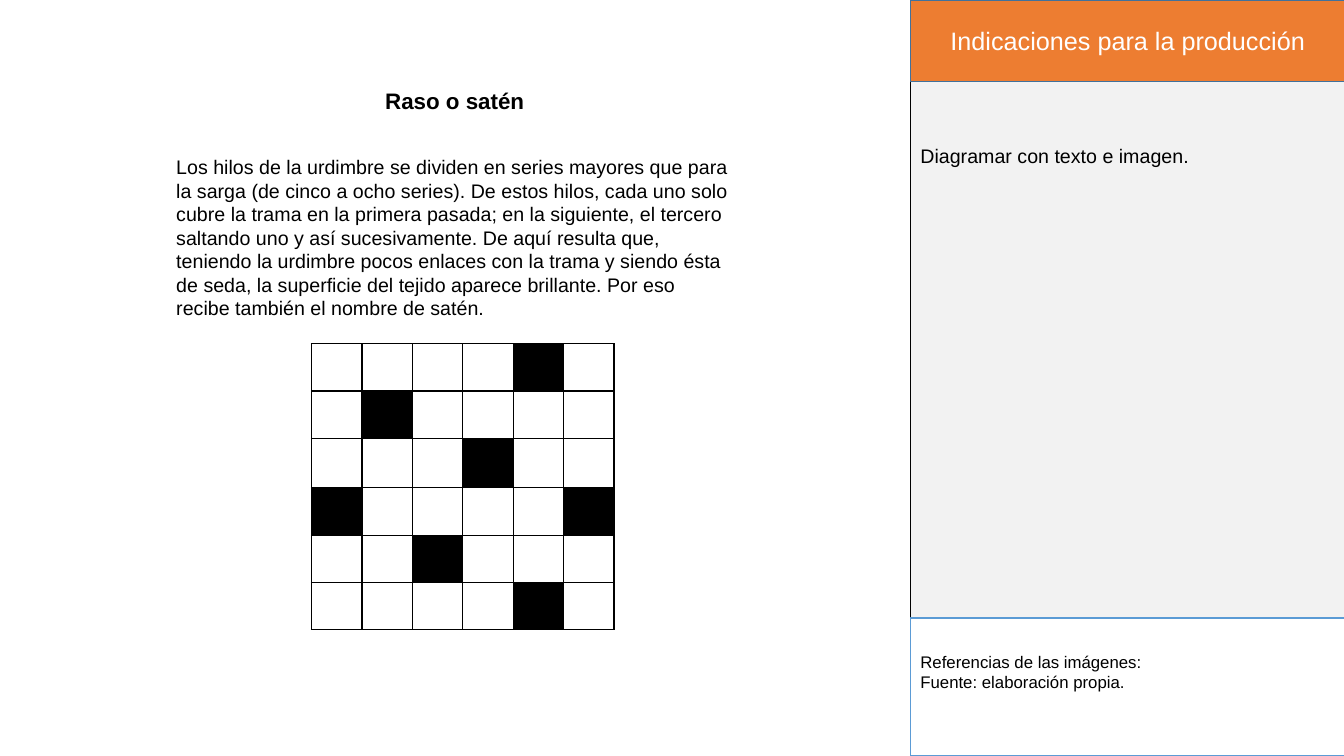
from lxml import etree
from pptx import Presentation
from pptx.dml.color import RGBColor
from pptx.enum import shapes, text
from pptx.oxml import ns
from pptx.util import Inches, Pt

HEADING = "Raso o satén"
EXPLANATION = (
    "Los hilos de la urdimbre se dividen en series mayores que para la sarga "
    "(de cinco a ocho series). De estos hilos, cada uno solo cubre la trama en "
    "la primera pasada; en la siguiente, el tercero saltando uno y así "
    "sucesivamente. De aquí resulta que, teniendo la urdimbre pocos enlaces con "
    "la trama y siendo ésta de seda, la superficie del tejido aparece brillante. "
    "Por eso recibe también el nombre de satén."
)
PANEL_HEADING = "Indicaciones para la producción"
INSTRUCTION = "Diagramar con texto e imagen."
REFERENCES = "Referencias de las imágenes:\nFuente: elaboración propia."
WEAVE = [
    "....#.",
    ".#....",
    "...#..",
    "#....#",
    "..#...",
    "....#.",
]

BLACK = RGBColor(0x00, 0x00, 0x00)
WHITE = RGBColor(0xFF, 0xFF, 0xFF)
GRAY = RGBColor(0xF2, 0xF2, 0xF2)
ORANGE = RGBColor(0xED, 0x7D, 0x31)
DARK_BLUE = RGBColor(0x42, 0x71, 0x9B)
BLUE = RGBColor(0x5B, 0x9B, 0xD5)

FONT = "Arial"
PANEL_LEFT, PANEL_WIDTH = 9.03, 4.31
WEAVE_LEFT, WEAVE_TOP = 3.09, 3.41
THREAD_WIDTH, PASS_HEIGHT, TALL_PASS_HEIGHT = 0.5, 0.47, 0.49
TALL_PASS = 2


def write(shape, content, size, color=BLACK, align=text.PP_ALIGN.LEFT,
          anchor=text.MSO_ANCHOR.TOP, bold=False):
    frame = shape.text_frame
    frame.text = content
    frame.word_wrap = True
    frame.auto_size = text.MSO_AUTO_SIZE.NONE
    frame.vertical_anchor = anchor
    for paragraph in frame.paragraphs:
        paragraph.alignment = align
        for run in paragraph.runs:
            run.font.name = FONT
            run.font.size = Pt(size)
            run.font.bold = bold
            run.font.color.rgb = color


def add_panel(slide, top, height, fill, line):
    panel = slide.shapes.add_shape(
        shapes.MSO_SHAPE.RECTANGLE, Inches(PANEL_LEFT), Inches(top),
        Inches(PANEL_WIDTH), Inches(height))
    panel.shadow.inherit = False
    panel.fill.solid()
    panel.fill.fore_color.rgb = fill
    panel.line.color.rgb = line
    panel.line.width = Pt(1)
    return panel


def add_text(slide, left, top, width, height, content, size):
    box = slide.shapes.add_textbox(
        Inches(left), Inches(top), Inches(width), Inches(height))
    write(box, content, size)


def add_borders(cell, color):
    properties = cell._tc.get_or_add_tcPr()
    for side in ("a:lnL", "a:lnR", "a:lnT", "a:lnB"):
        border = etree.SubElement(properties, ns.qn(side), w=str(Pt(1)))
        fill = etree.SubElement(border, ns.qn("a:solidFill"))
        etree.SubElement(fill, ns.qn("a:srgbClr"), val=str(color))


def add_weave(slide):
    heights = [TALL_PASS_HEIGHT if row == TALL_PASS else PASS_HEIGHT
               for row in range(len(WEAVE))]
    threads = len(WEAVE[0])
    weave = slide.shapes.add_table(
        len(WEAVE), threads, Inches(WEAVE_LEFT), Inches(WEAVE_TOP),
        Inches(threads * THREAD_WIDTH), Inches(sum(heights))).table
    weave.first_row = False
    weave.horz_banding = False
    for column in weave.columns:
        column.width = Inches(THREAD_WIDTH)
    for row, (marks, height) in enumerate(zip(WEAVE, heights)):
        weave.rows[row].height = Inches(height)
        for column, mark in enumerate(marks):
            cell = weave.cell(row, column)
            add_borders(cell, BLACK)
            cell.fill.solid()
            cell.fill.fore_color.rgb = BLACK if mark == "#" else WHITE


def main():
    deck = Presentation()
    deck.slide_width, deck.slide_height = Inches(13.33), Inches(7.5)
    slide = deck.slides.add_slide(deck.slide_layouts[5])

    add_panel(slide, 0, 7.5, GRAY, BLACK)
    add_text(slide, PANEL_LEFT, 1.38, PANEL_WIDTH, 3.3, INSTRUCTION, 14)

    banner = add_panel(slide, 0, 0.81, ORANGE, DARK_BLUE)
    write(banner, PANEL_HEADING, 18, WHITE, text.PP_ALIGN.CENTER,
          text.MSO_ANCHOR.MIDDLE)

    credits = add_panel(slide, 6.13, 1.37, WHITE, BLUE)
    write(credits, REFERENCES, 12, anchor=text.MSO_ANCHOR.MIDDLE)
    credits.text_frame.margin_bottom = Inches(0.35)

    heading = slide.shapes.title
    heading.left, heading.top = Inches(3.16), Inches(0.81)
    heading.width, heading.height = Inches(2.7), Inches(0.37)
    write(heading, HEADING, 16, align=text.PP_ALIGN.CENTER, bold=True)

    add_text(slide, 1.65, 1.49, 5.73, 1.75, EXPLANATION, 14)
    add_weave(slide)
    deck.save("out.pptx")


if __name__ == "__main__":
    main()
